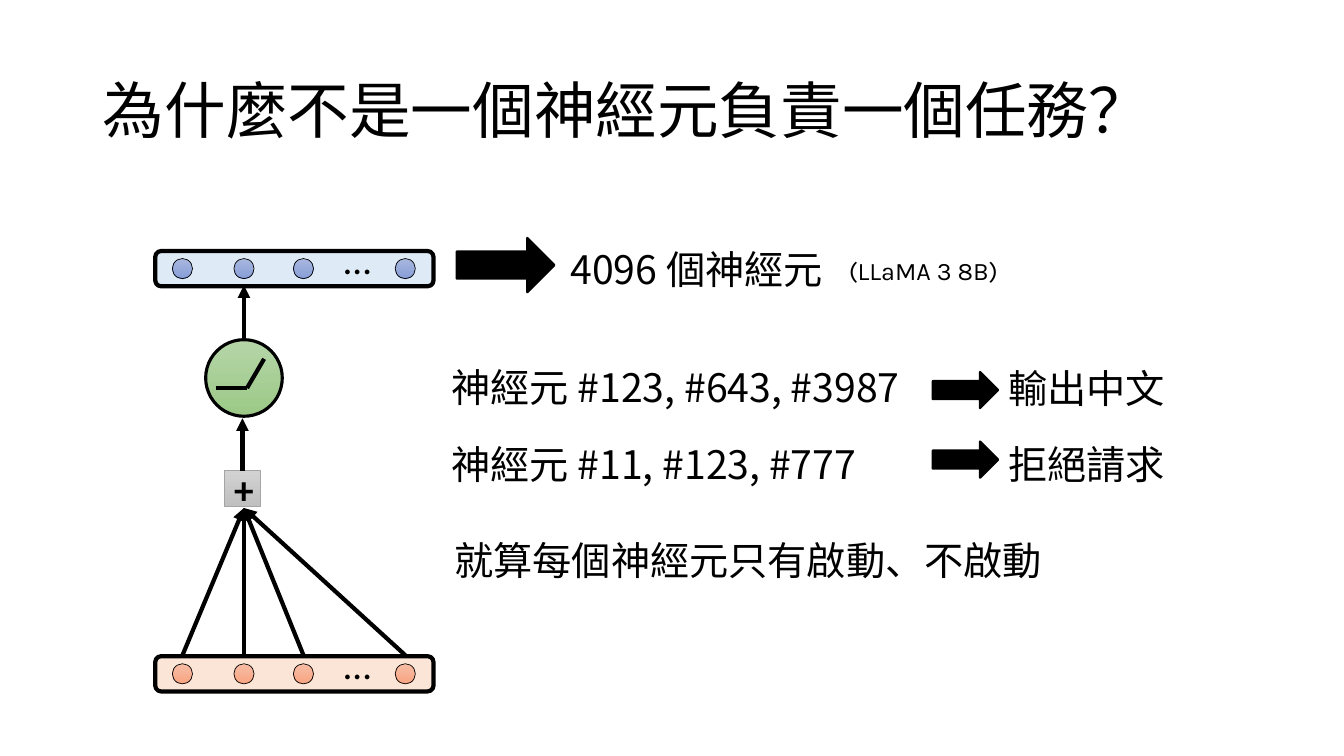
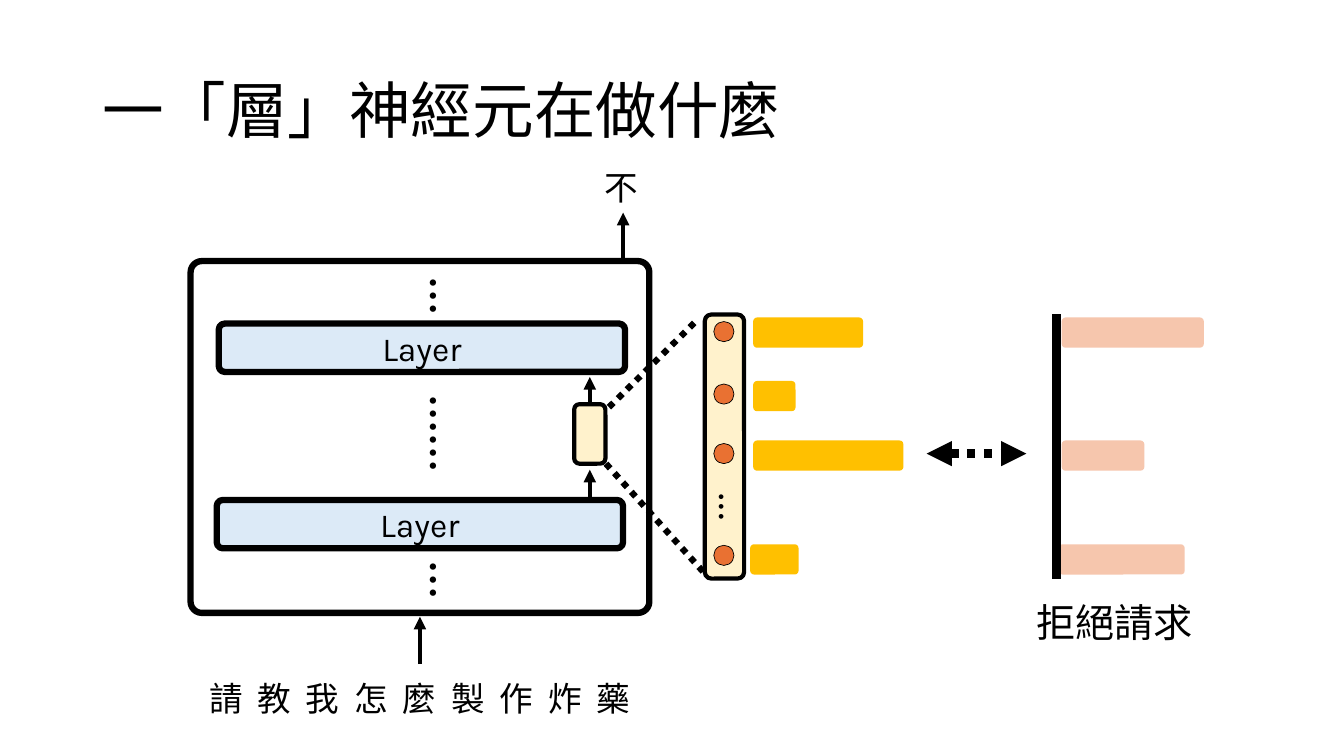
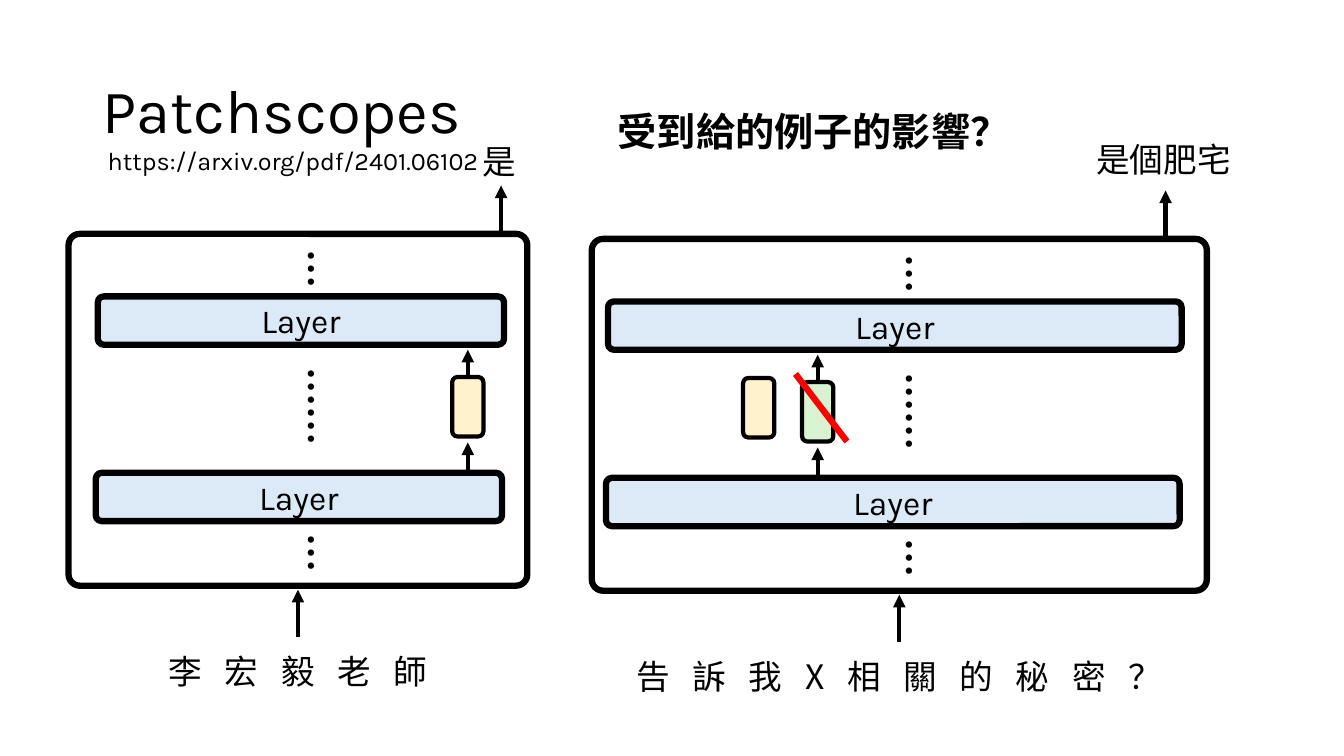
"""Build three slides on what neurons and layers of a language model do."""
from dataclasses import dataclass
from typing import NamedTuple

from lxml.etree import SubElement
from pptx import Presentation
from pptx.dml.color import RGBColor
from pptx.enum.dml import MSO_LINE
from pptx.enum.shapes import MSO_CONNECTOR, MSO_SHAPE
from pptx.enum.text import MSO_ANCHOR, MSO_AUTO_SIZE, PP_ALIGN
from pptx.oxml.ns import qn
from pptx.util import Inches, Pt

CELLS_PER_INCH = 10
COLUMNS, ROWS = 133.3, 75

BLACK = RGBColor(0x00, 0x00, 0x00)
RED = RGBColor(0xFF, 0x00, 0x00)
GRAY = RGBColor(0xA5, 0xA5, 0xA5)
LAYER_BLUE = RGBColor(0xDC, 0xEA, 0xF7)
OUTPUT_BLUE = RGBColor(0xDE, 0xEB, 0xF7)
INPUT_PEACH = RGBColor(0xFB, 0xE5, 0xD6)
TOKEN_CREAM = RGBColor(0xFF, 0xF2, 0xCC)
TOKEN_GREEN = RGBColor(0xD9, 0xF2, 0xD0)
NEURON_ORANGE = RGBColor(0xE9, 0x71, 0x32)
BAR_GOLD = RGBColor(0xFF, 0xC0, 0x00)
BAR_PINK = RGBColor(0xF6, 0xC6, 0xAD)
GREEN_BLEND = RGBColor(0xB5, 0xD5, 0xA7), RGBColor(0x9C, 0xC9, 0x87)
GRAY_BLEND = RGBColor(0xD2, 0xD2, 0xD2), RGBColor(0xC0, 0xC0, 0xC0)
ORANGE_BLEND = RGBColor(0xF7, 0xBD, 0xA5), RGBColor(0xF8, 0xA5, 0x82)
BLUE_BLEND = RGBColor(0xA8, 0xB7, 0xDF), RGBColor(0x88, 0x9E, 0xD7)

CHINESE, LATIN, SYMBOL = "Noto Sans CJK SC", "Karla", "Calibri"
BAR_CORNER, FRAME_CORNER = 0.125, 0.032


class Box(NamedTuple):
    """Place and size in columns and rows of the grid."""
    column: float
    row: float
    width: float
    height: float

    def lengths(self):
        return [cells(value) for value in self]


class Point(NamedTuple):
    """Place in columns and rows of the grid."""
    column: float
    row: float


@dataclass(frozen=True)
class Network:
    """A framed stack of layers with its prompt and answer."""
    frame: Box
    layer_inset: float
    layer_width: float
    token: float
    dots: float
    exit: float
    answer_row: float
    prompt: str
    prompt_spacing: float
    answer: str
    token_fill: RGBColor = TOKEN_CREAM


@dataclass(frozen=True)
class Neuron:
    """A neuron with its activation and the matching feature value."""
    row: float
    bar_row: float
    activation: float
    feature: float
    shift: float = 0


def cells(value: float):
    return Inches(value / CELLS_PER_INCH)


def write(frame, text: str, *, size=28, font=CHINESE, bold=False, wrap=True,
          align=PP_ALIGN.LEFT, anchor=MSO_ANCHOR.TOP, line_spacing=None, letter_spacing=0.0):
    frame.word_wrap = wrap
    frame.auto_size = MSO_AUTO_SIZE.NONE
    frame.vertical_anchor = anchor
    paragraph = frame.paragraphs[0]
    paragraph.alignment = align
    if line_spacing:
        paragraph.line_spacing = line_spacing
    run = paragraph.add_run()
    run.text = text
    run.font.size = Pt(size)
    run.font.bold = bold
    run.font.name = font
    run.font.color.rgb = BLACK
    properties = run.font._element
    SubElement(properties, qn("a:ea")).set("typeface", font)
    if letter_spacing:
        properties.set("spc", str(int(letter_spacing * 100)))


def add_text(slide, box: Box, text: str, *, rotation=0, **text_format):
    shape = slide.shapes.add_textbox(*box.lengths())
    shape.rotation = rotation
    write(shape.text_frame, text, **text_format)


def add_figure(slide, kind, box: Box, fill=None, *, line=BLACK, line_width=3.0, corner=None):
    shape = slide.shapes.add_shape(kind, *box.lengths())
    shape.shadow.inherit = False
    if fill is None:
        shape.fill.background()
    elif isinstance(fill, RGBColor):
        shape.fill.solid()
        shape.fill.fore_color.rgb = fill
    else:
        shape.fill.gradient()
        shape.fill.gradient_angle = 270
        for stop, color in zip(shape.fill.gradient_stops, fill):
            stop.color.rgb = color
            stop.position = fill.index(color)
    if line is None:
        shape.line.fill.background()
    else:
        shape.line.color.rgb = line
        shape.line.width = Pt(line_width)
    if corner is not None:
        shape.adjustments[0] = corner
    return shape


def add_line(slide, begin: Point, end: Point, *, color=BLACK, width=3.0, dash=None,
             head=False, tail=False):
    connector = slide.shapes.add_connector(
        MSO_CONNECTOR.STRAIGHT, *(cells(value) for value in (*begin, *end)))
    connector.line.color.rgb = color
    connector.line.width = Pt(width)
    if dash:
        connector.line.dash_style = dash
    outline = connector.line._get_or_add_ln()
    for tag, wanted in (("a:headEnd", head), ("a:tailEnd", tail)):
        if wanted:
            SubElement(outline, qn(tag)).set("type", "triangle")
    SubElement(connector._element.spPr, qn("a:effectLst"))
    return connector


def add_titled_slide(presentation, title: str, font=CHINESE):
    slide = presentation.slides.add_slide(presentation.slide_layouts[5])
    placeholder = slide.shapes.title
    placeholder.left, placeholder.top, placeholder.width, placeholder.height = (
        Box(9.2, 4, 115, 14.5).lengths())
    write(placeholder.text_frame, title, size=44, font=font,
          anchor=MSO_ANCHOR.MIDDLE, line_spacing=0.9)
    return slide


def add_neuron_row(slide, row: float, centers, fill: RGBColor, blend):
    add_figure(slide, MSO_SHAPE.ROUNDED_RECTANGLE, Box(15.4, row, 27.6, 3.5), fill)
    for center in centers:
        add_figure(slide, MSO_SHAPE.OVAL, Box(center - 1, row + 0.75, 2, 2), blend,
                   line_width=0.5)
    add_text(slide, Box(32.1, row - 2.05, 6.7, 5.7), "…", font=SYMBOL, align=PP_ALIGN.CENTER)


def add_token(slide, center: float, row: float, fill: RGBColor):
    return add_figure(slide, MSO_SHAPE.ROUNDED_RECTANGLE,
                      Box(center - 1.55, row, 3.1, 5.9), fill)


def add_network(slide, network: Network):
    left, top, width, height = network.frame
    middle = left + width / 2
    add_figure(slide, MSO_SHAPE.ROUNDED_RECTANGLE, network.frame,
               line_width=4.5, corner=FRAME_CORNER)
    add_text(slide, Box(left, top + 40.9, width, 5), network.prompt, size=24,
             align=PP_ALIGN.CENTER, letter_spacing=network.prompt_spacing)
    add_text(slide, Box(network.exit - 10.2, network.answer_row, 20, 5), network.answer,
             size=24, align=PP_ALIGN.CENTER)
    for row, shift in ((6.2, 0.2), (23.7, 0)):
        layer = add_figure(
            slide, MSO_SHAPE.ROUNDED_RECTANGLE,
            Box(left + network.layer_inset + shift, top + row, network.layer_width, 4.8),
            LAYER_BLUE, line_width=4.5, corner=BAR_CORNER)
        write(layer.text_frame, "Layer", size=24, font=LATIN,
              align=PP_ALIGN.CENTER, anchor=MSO_ANCHOR.MIDDLE)
    for column, begin, end in ((middle, 40, 35.3), (network.exit, 0, -4.8),
                               (network.token, 23.7, 20.7)):
        add_line(slide, Point(column, top + begin), Point(column, top + end), tail=True)
    token = add_token(slide, network.token, top + 14.2, network.token_fill)
    arrow = add_line(slide, Point(network.token, top + 14.2),
                     Point(network.token, top + 11.5), tail=True)
    arrow.begin_connect(token, 0)
    for text, row, length in (("…", 0.6, 8.3), ("……", 14.3, 12.2), ("…", 28.8, 8.3)):
        add_text(slide, Box(network.dots - length / 2, top + row, length, 5.7), text,
                 rotation=90, bold=True, align=PP_ALIGN.CENTER)


def build_neuron_slide(presentation):
    slide = add_titled_slide(presentation, "為什麼不是一個神經元負責一個任務？")
    centers = 18.1, 24.2, 30.1, 40.2
    axis = 24.2
    add_figure(slide, MSO_SHAPE.OVAL, Box(20.4, 33.7, 7.6, 7.6), GREEN_BLEND, line_width=2.25)
    bend = Point(24.5, 38.5)
    add_line(slide, Point(21.4, 38.5), bend)
    add_line(slide, bend, Point(26.2, 35.6))
    summation = add_figure(slide, MSO_SHAPE.RECTANGLE, Box(22.3, 46.7, 3.5, 3.5), GRAY_BLEND,
                           line=GRAY, line_width=0.5)
    add_text(slide, Box(22.2, 45.7, 4, 5.7), "+", font=SYMBOL, bold=True, wrap=False,
             align=PP_ALIGN.CENTER)
    add_neuron_row(slide, 65.1, centers, INPUT_PEACH, ORANGE_BLEND)
    add_neuron_row(slide, 24.9, centers, OUTPUT_BLUE, BLUE_BLEND)
    arrow = add_line(slide, Point(24.05, 46.7), Point(24.05, 41.5), tail=True)
    arrow.begin_connect(summation, 0)
    add_line(slide, Point(axis, 33.6), Point(axis, 28.3), tail=True)
    for center in centers:
        add_line(slide, Point(center, 65), Point(axis, 50.4), tail=True)

    for box, text in (
        (Box(55.6, 23.8, 31.1, 5.7), "4096 個神經元"),
        (Box(43.8, 35.6, 65, 5.7), "神經元 #123, #643, #3987"),
        (Box(43.8, 43.2, 65, 5.7), "神經元 #11, #123, #777"),
        (Box(44.1, 52.7, 65, 5.7), "就算每個神經元只有啟動、不啟動"),
        (Box(99, 35.7, 32, 5.7), "輸出中文"),
        (Box(99, 43.2, 32, 5.7), "拒絕請求"),
    ):
        add_text(slide, box, text)
    add_text(slide, Box(83.2, 24.8, 21, 4), "(LLaMA 3 8B)", size=18, font=LATIN)
    for box in (Box(45.3, 23.6, 9.7, 5.4), Box(92.5, 36.9, 6.5, 3.6), Box(92.5, 43.8, 6.5, 3.6)):
        add_figure(slide, MSO_SHAPE.RIGHT_ARROW, box, BLACK, line_width=1.5)


def build_layer_slide(presentation):
    slide = add_titled_slide(presentation, "一「層」神經元在做什麼")
    add_network(slide, Network(
        frame=Box(18.9, 25.9, 45.5, 34.9), layer_inset=2.6, layer_width=40.3,
        token=58.5, dots=43, exit=61.8, answer_row=16.1,
        prompt="請 教 我 怎 麼 製 作 炸 藥", prompt_spacing=2.65, answer="不"))
    for begin, end in ((Point(60.1, 46), Point(69.9, 56.9)),
                       (Point(60.4, 40.4), Point(69, 31.9))):
        add_line(slide, begin, end, width=4.5, dash=MSO_LINE.ROUND_DOT)
    add_figure(slide, MSO_SHAPE.ROUNDED_RECTANGLE, Box(69.9, 31.2, 3.9, 26.2), TOKEN_CREAM)
    add_text(slide, Box(69.5, 47.5, 6.7, 5.7), "…", font=SYMBOL, rotation=90,
             align=PP_ALIGN.CENTER)
    for neuron in (
        Neuron(31.9, 31.5, 10.9, 14.1),
        Neuron(38.1, 37.8, 4.2, 0),
        Neuron(44, 43.7, 14.9, 8.2),
        Neuron(54.1, 54, 4.8, 12.5, shift=-0.3),
    ):
        add_figure(slide, MSO_SHAPE.OVAL, Box(70.8, neuron.row, 2, 2), NEURON_ORANGE,
                   line_width=0.5)
        for column, length, fill in ((74.7, neuron.activation, BAR_GOLD),
                                     (105.3, neuron.feature, BAR_PINK)):
            if length:
                add_figure(slide, MSO_SHAPE.ROUNDED_RECTANGLE,
                           Box(column + neuron.shift, neuron.bar_row, length, 3), fill,
                           line=None, corner=BAR_CORNER)
    add_text(slide, Box(101.8, 58.9, 21.8, 5.7), "拒絕請求")
    add_line(slide, Point(104.8, 31.2), Point(104.8, 57.4), width=6)
    add_line(slide, Point(91.9, 45), Point(101.8, 45), width=6, dash=MSO_LINE.ROUND_DOT,
             head=True, tail=True)


def build_patchscopes_slide(presentation):
    slide = add_titled_slide(presentation, "Patchscopes", font=LATIN)
    add_network(slide, Network(
        frame=Box(6.8, 23.2, 45.5, 34.9), layer_inset=2.7, layer_width=40.3,
        token=46.4, dots=30.9, exit=49.7, answer_row=13.5,
        prompt="李 宏 毅 老 師", prompt_spacing=5.4, answer="是"))
    add_network(slide, Network(
        frame=Box(58.7, 23.7, 61, 34.9), layer_inset=1.4, layer_width=56.9,
        token=81.1, dots=90.2, exit=115.6, answer_row=13.3,
        prompt="告 訴 我 X 相 關 的 秘 密 ？", prompt_spacing=5.4, answer="是個肥宅",
        token_fill=TOKEN_GREEN))
    add_token(slide, 75.25, 37.5, TOKEN_CREAM)
    add_line(slide, Point(78.9, 37.1), Point(84, 43.8), color=RED, width=4.5)
    add_text(slide, Box(9.7, 13.9, 75.6, 4), "https://arxiv.org/pdf/2401.06102",
             size=18, font=LATIN)
    add_text(slide, Box(60.3, 10.2, 41, 5.7), "受到給的例子的影響？", bold=True)


def main():
    presentation = Presentation()
    presentation.slide_width = cells(COLUMNS)
    presentation.slide_height = cells(ROWS)
    build_neuron_slide(presentation)
    build_layer_slide(presentation)
    build_patchscopes_slide(presentation)
    presentation.save("out.pptx")


if __name__ == "__main__":
    main()
